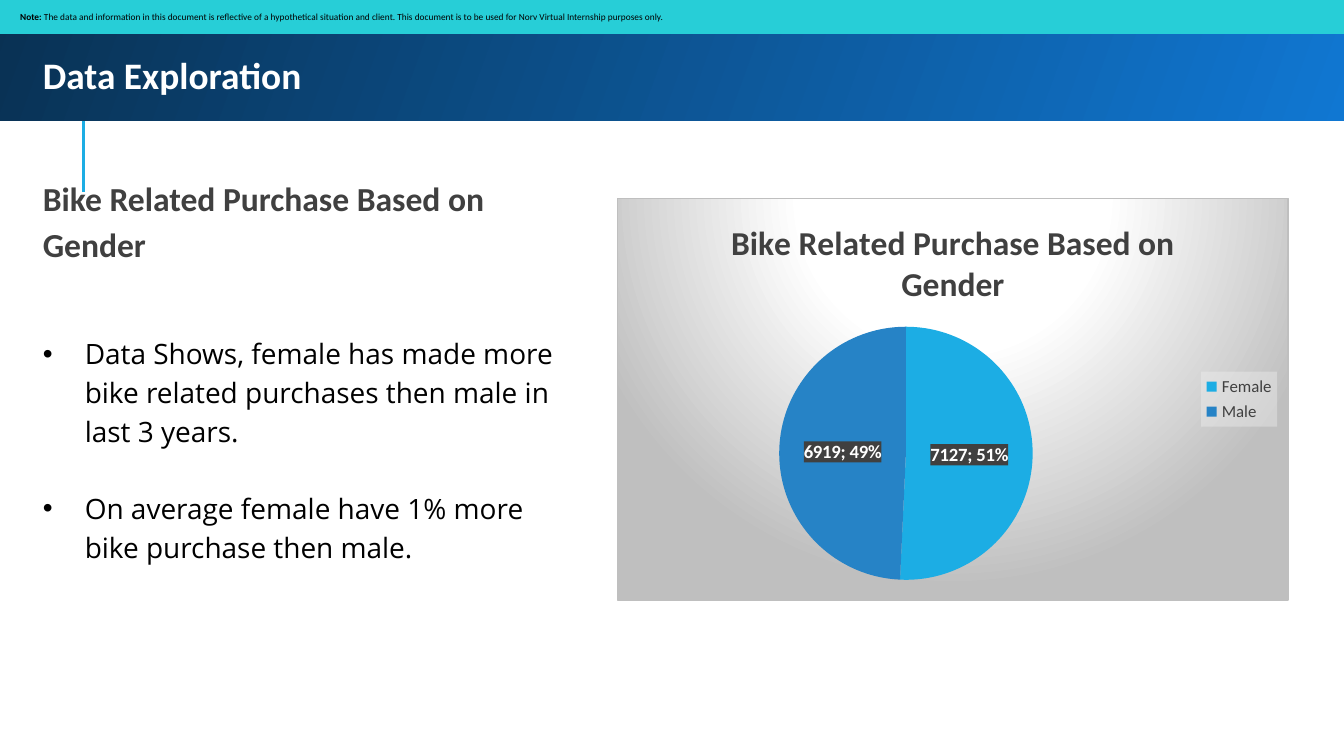
from dataclasses import dataclass

from lxml import etree
from pptx import Presentation
from pptx.chart.data import CategoryChartData
from pptx.dml.color import RGBColor
from pptx.enum.chart import XL_CHART_TYPE, XL_LABEL_POSITION, XL_LEGEND_POSITION
from pptx.enum.shapes import MSO_CONNECTOR, MSO_SHAPE
from pptx.enum.text import MSO_ANCHOR, PP_ALIGN
from pptx.oxml import parse_xml
from pptx.oxml.ns import nsdecls, qn
from pptx.util import Pt

PIE = XL_CHART_TYPE.PIE
CENTER = XL_LABEL_POSITION.CENTER
RIGHT = XL_LEGEND_POSITION.RIGHT
STRAIGHT = MSO_CONNECTOR.STRAIGHT
RECTANGLE = MSO_SHAPE.RECTANGLE
MIDDLE, TOP = MSO_ANCHOR.MIDDLE, MSO_ANCHOR.TOP
LEFT = PP_ALIGN.LEFT


@dataclass(frozen=True)
class Theme:
    """Colours, fonts and type sizes of the slide."""
    black: str = "000000"
    white: str = "FFFFFF"
    gray: str = "404040"
    silver: str = "BFBFBF"
    pale: str = "F2F2F2"
    teal: str = "27CED7"
    sky: str = "1CADE4"
    blue: str = "2683C6"
    band_light: str = "1077D2"
    band_dark: str = "093153"
    heading_font: str = "Calibri"
    body_font: str = "Open Sans"
    title_size: float = 20
    heading_size: float = 18
    body_size: float = 15
    label_size: float = 10
    legend_size: float = 9
    note_size: float = 5


@dataclass(frozen=True)
class Area:
    """A rectangle in points."""
    left: float
    top: float
    width: float
    height: float

    def lengths(self) -> tuple:
        """Return the four lengths for python-pptx."""
        return Pt(self.left), Pt(self.top), Pt(self.width), Pt(self.height)


@dataclass(frozen=True)
class Span:
    """A run of text with its look."""
    text: str
    size: float
    color: str
    font: str
    bold: bool = False


@dataclass(frozen=True)
class Block:
    """A text box holding one paragraph per span."""
    area: Area
    spans: tuple
    line_spacing: float = 1.0
    gap: float = 0
    indent: float = 0


THEME = Theme()
TITLE = "Bike Related Purchase Based on Gender"
BLOCKS = (
    Block(Area(15.84, 20.88, 674.6, 36.7),
          (Span("Data Exploration", THEME.title_size, THEME.white, THEME.heading_font, True),)),
    Block(Area(15.84, 84.96, 308.9, 62.6),
          (Span(TITLE, THEME.heading_size, THEME.gray, THEME.heading_font, True),), 1.15),
    Block(Area(15.84, 170.64, 297.4, 139),
          tuple(Span(text, THEME.body_size, THEME.black, THEME.body_font) for text in (
              "Data Shows, female has made more bike related purchases then male in last 3 years.",
              "On average female have 1% more bike purchase then male.")),
          1.15, 20.7, 22.5),
)
NOTE = (
    Span("Note: ", THEME.note_size, THEME.black, THEME.heading_font, True),
    Span("The data and information in this document is reflective of a hypothetical situation "
         "and client. This document is to be used for Norv Virtual Internship purposes only.",
         THEME.note_size, THEME.black, THEME.heading_font),
)
PURCHASES = {"Female": (7127, THEME.sky), "Male": (6919, THEME.blue)}


def rgb(color: str) -> RGBColor:
    """Turn a hex string into a colour."""
    return RGBColor.from_string(color)


def style_font(font, size: float, color: str, name: str, bold: bool = False) -> None:
    """Set the look of a font."""
    font.size, font.name, font.bold = Pt(size), name, bold
    font.color.rgb = rgb(color)


def add_span(para, span: Span) -> None:
    """Add one run to a paragraph."""
    run = para.add_run()
    run.text = span.text
    style_font(run.font, span.size, span.color, span.font, span.bold)


def set_frame(frame, inset: float, anchor, left: float) -> None:
    """Set wrapping, insets and anchor of a text frame."""
    frame.word_wrap, frame.vertical_anchor = True, anchor
    frame.margin_top = frame.margin_right = frame.margin_bottom = Pt(inset)
    frame.margin_left = Pt(left)


def add_block(page, block: Block) -> None:
    """Add a text box, bulleted when it has an indent."""
    frame = page.shapes.add_textbox(*block.area.lengths()).text_frame
    set_frame(frame, 7.2, TOP, 7.2)
    for index, span in enumerate(block.spans):
        para = frame.add_paragraph() if index else frame.paragraphs[0]
        para.line_spacing = block.line_spacing
        para.space_before = Pt(block.gap if index else 0)
        if block.indent:
            props = para._p.get_or_add_pPr()
            props.set("marL", str(Pt(block.indent)))
            props.set("indent", str(-Pt(block.indent)))
            etree.SubElement(props, qn("a:buFont")).set("typeface", "Arial")
            etree.SubElement(props, qn("a:buChar")).set("char", "•")
        add_span(para, span)


def add_bar(page, area: Area):
    """Add a rectangle without outline or shadow."""
    bar = page.shapes.add_shape(RECTANGLE, *area.lengths())
    bar.shadow.inherit = False
    bar.line.fill.background()
    return bar


def add_title_band(page) -> None:
    """Add the accent line and the gradient band over it."""
    line = page.shapes.add_connector(STRAIGHT, Pt(44.64), Pt(103), Pt(44.64), Pt(49))
    line.line.color.rgb, line.line.width = rgb(THEME.sky), Pt(1.5)
    etree.SubElement(line._element.spPr, qn("a:effectLst"))
    fill = add_bar(page, Area(-1.44, -1.44, 723.6, 66.24)).fill
    fill.gradient()
    fill.gradient_angle = 160
    for stop, color in zip(fill.gradient_stops, (THEME.band_light, THEME.band_dark)):
        stop.color.rgb = rgb(color)


def add_note(page) -> None:
    """Add the note strip along the top edge."""
    strip = add_bar(page, Area(-0.72, -0.72, 722.2, 18.9))
    strip.fill.solid()
    strip.fill.fore_color.rgb = rgb(THEME.teal)
    set_frame(strip.text_frame, 3.6, MIDDLE, 11.5)
    para = strip.text_frame.paragraphs[0]
    para.alignment = LEFT
    for span in NOTE:
        add_span(para, span)


def solid_props(color: str, alpha: int = 100):
    """Build chart shape properties with a solid fill."""
    return parse_xml(f'<c:spPr {nsdecls("c", "a")}><a:solidFill><a:srgbClr val="{color}">'
                     f'<a:alpha val="{alpha * 1000}"/></a:srgbClr></a:solidFill></c:spPr>')


def fill_chart(chart) -> None:
    """Give the chart its radial background, border and plot position."""
    stops = "".join(f'<a:gs pos="{place * 1000}"><a:srgbClr val="{color}"/></a:gs>' for place, color in
                    ((0, THEME.white), (39, THEME.white), (100, THEME.silver)))
    space = chart._chartSpace
    space.chart.addnext(parse_xml(
        f'<c:spPr {nsdecls("c", "a")}><a:gradFill><a:gsLst>{stops}</a:gsLst><a:path path="circle">'
        '<a:fillToRect l="50000" t="-80000" r="50000" b="180000"/></a:path></a:gradFill>'
        f'<a:ln w="{Pt(0.75)}"><a:solidFill><a:srgbClr val="{THEME.silver}"/></a:solidFill></a:ln></c:spPr>'))
    plot_area = space.chart.plotArea
    for old in plot_area.findall(qn("c:layout")):
        plot_area.remove(old)
    sizes = "".join(f'<c:{key} val="{value}"/>' for key, value in
                    (("x", 0.24), ("y", 0.32), ("w", 0.38), ("h", 0.63)))
    plot_area.insert(0, parse_xml(
        f'<c:layout {nsdecls("c")}><c:manualLayout><c:layoutTarget val="inner"/>'
        f'<c:xMode val="edge"/><c:yMode val="edge"/>{sizes}</c:manualLayout></c:layout>'))


def add_gender_chart(page) -> None:
    """Add the pie of purchases by gender."""
    data = CategoryChartData()
    data.categories = list(PURCHASES)
    data.add_series("Series 1", [count for count, _ in PURCHASES.values()])
    chart = page.shapes.add_chart(PIE, *Area(330.5, 105.84, 360, 216).lengths(), data).chart
    style_font(chart.font, THEME.label_size, THEME.black, THEME.heading_font)
    chart.has_title = True
    add_span(chart.chart_title.text_frame.paragraphs[0], BLOCKS[1].spans[0])
    chart.has_legend = True
    chart.legend.position, chart.legend.include_in_layout = RIGHT, False
    style_font(chart.legend.font, THEME.legend_size, THEME.gray, THEME.heading_font)
    chart.legend._element.find(qn("c:txPr")).addprevious(solid_props(THEME.pale, 39))
    plot = chart.plots[0]
    plot.vary_by_categories = True
    series = plot.series[0]
    for index, (_, color) in enumerate(PURCHASES.values()):
        fill = series.points[index].format.fill
        fill.solid()
        fill.fore_color.rgb = rgb(color)
    labels = series.data_labels
    labels.show_value = labels.show_percentage = True
    labels.position = CENTER
    style_font(labels.font, THEME.label_size, THEME.white, THEME.heading_font, True)
    labels._element.find(qn("c:txPr")).addprevious(solid_props(THEME.gray))
    fill_chart(chart)


deck = Presentation()
deck.slide_width, deck.slide_height = Pt(720), Pt(405)
slide = deck.slides.add_slide(deck.slide_layouts[6])
add_title_band(slide)
for text_block in BLOCKS:
    add_block(slide, text_block)
add_note(slide)
add_gender_chart(slide)
deck.save("out.pptx")
